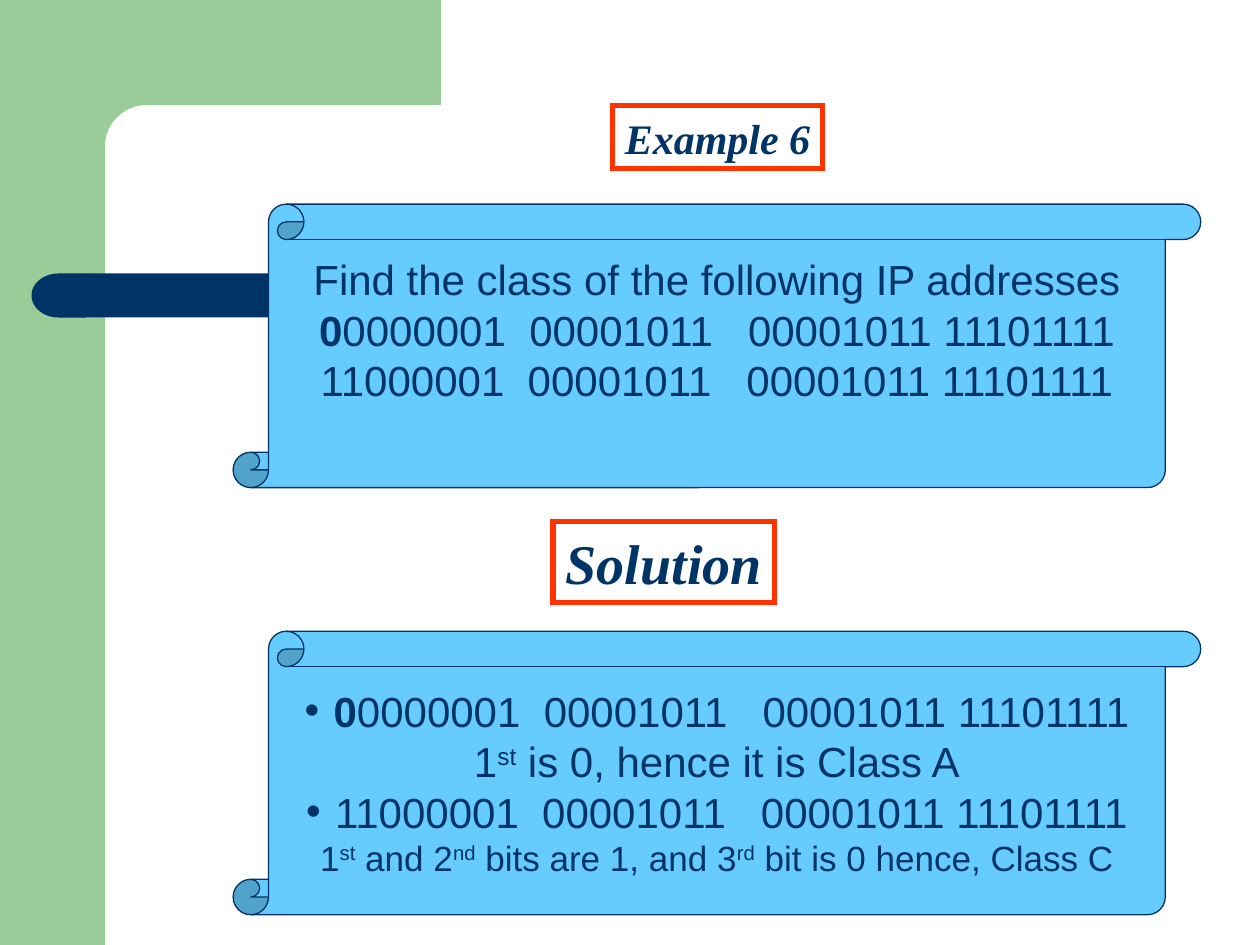
from dataclasses import dataclass
from math import cos, pi, sin

from lxml import etree
from pptx import Presentation
from pptx.dml.color import RGBColor
from pptx.enum.shapes import MSO_SHAPE
from pptx.enum.text import MSO_ANCHOR, PP_ALIGN
from pptx.oxml.ns import qn
from pptx.util import Inches, Pt

RECT, DELAY = MSO_SHAPE.RECTANGLE, MSO_SHAPE.FLOWCHART_DELAY
SCROLL = MSO_SHAPE.VERTICAL_SCROLL
MIDDLE, CENTER = MSO_ANCHOR.MIDDLE, PP_ALIGN.CENTER
WIDE, HIGH = 10, 7.5


@dataclass(frozen=True)
class Theme:
    navy: str = "003366"
    green: str = "99CC99"
    sky: str = "66CCFF"
    red: str = "FF3300"
    white: str = "FFFFFF"
    sans: str = "Arial"
    serif: str = "Times New Roman"
    head: int = 32
    body: int = 24
    small: int = 20
    space: float = 0.278
    indent: float = 0.23


THEME = Theme()


def paint(shape, fill, line=None, width=0):
    shape.fill.solid()
    shape.fill.fore_color.rgb = RGBColor.from_string(fill)
    if line:
        shape.line.color.rgb = RGBColor.from_string(line)
        shape.line.width = Pt(width)
    else:
        shape.line.fill.background()


def add_form(slide, kind, box, fill, line=None, width=0):
    shape = slide.shapes.add_shape(kind, *map(Inches, box))
    shape.shadow.inherit = False
    paint(shape, fill, line, width)
    return shape


def write(para, text, size=THEME.body, font=THEME.sans, bold=False,
          italic=False, base=0, track=0):
    run = para.add_run()
    run.text = text
    face = run.font
    face.size, face.name = Pt(size), font
    face.bold, face.italic = bold, italic
    face.color.rgb = RGBColor.from_string(THEME.navy)
    props = run._r.get_or_add_rPr()
    if base:
        props.set("baseline", str(base * 1000))
    if track:
        props.set("spc", str(round(track * 100)))


def set_bullet(para):
    props = para._p.get_or_add_pPr()
    props.set("marL", str(Inches(THEME.indent)))
    props.set("indent", str(-Inches(THEME.indent)))
    color = etree.SubElement(props, qn("a:buClr"))
    etree.SubElement(color, qn("a:srgbClr")).set("val", THEME.navy)
    etree.SubElement(props, qn("a:buFont")).set("typeface", THEME.sans)
    etree.SubElement(props, qn("a:buChar")).set("char", "•")


def write_bits(para, first, lead=""):
    if lead:
        write(para, lead, bold=True)
    write(para, first)
    gap = THEME.body * THEME.space
    for extra, octet in ((1, "00001011"), (2, "00001011"), (0, "11101111")):
        write(para, " ", track=extra * gap)
        write(para, octet)


def write_rank(para, parts, size=THEME.body):
    for spot, part in enumerate(parts):
        write(para, part, size=size, base=30 if spot % 2 else 0)


def frame_label(shape, box, text, size):
    shape.left, shape.top, shape.width, shape.height = map(Inches, box)
    paint(shape, THEME.white, THEME.red, 3)
    join = etree.SubElement(shape.line._get_or_add_ln(), qn("a:miter"))
    join.set("lim", "800000")
    frame = shape.text_frame
    frame.word_wrap = False
    frame.vertical_anchor = MIDDLE
    frame.margin_left = frame.margin_right = Inches(0.02)
    para = frame.paragraphs[0]
    para.alignment = CENTER
    write(para, text, size=size, font=THEME.serif, bold=True, italic=True)


def add_scroll(slide, box, count, foot=0.05):
    shape = add_form(slide, SCROLL, box, THEME.sky, THEME.navy, 0.75)
    shape.adjustments[0] = 0.125
    frame = shape.text_frame
    frame.word_wrap = True
    frame.vertical_anchor = MIDDLE
    frame.margin_bottom = Inches(foot)
    paras = [frame.paragraphs[0]]
    paras += [frame.add_paragraph() for _ in range(count - 1)]
    for para in paras:
        para.alignment = CENTER
    return paras


def add_corner(slide, box):
    left, top, width, height = box
    band, bar = width / 4.2, height / 9
    radius, steps = 0.33, 16
    add_form(slide, RECT, (left, top, band, height), THEME.green)
    arc = [(left + band + radius * (1 - sin(pi * k / steps / 2)),
            top + bar + radius * (1 - cos(pi * k / steps / 2)))
           for k in range(steps + 1)]
    inner = left + band * 0.6
    points = [(left + width, top), (left + width, top + bar), *arc,
              (inner, arc[-1][1]), (inner, top)]
    build = slide.shapes.build_freeform(Inches(inner), Inches(top), scale=1)
    build.add_line_segments([(Inches(x), Inches(y)) for x, y in points])
    shape = build.convert_to_shape()
    shape.shadow.inherit = False
    paint(shape, THEME.green)


def add_bar(slide, box):
    left, top, width, height = box
    cap = 0.43
    start = cap - 0.01
    add_form(slide, RECT, (left + start, top, width - start, height),
             THEME.navy)
    end = add_form(slide, DELAY, (left, top, cap, height), THEME.navy)
    end.rotation = 180


def add_problem(slide, box):
    ask, first, second = add_scroll(slide, box, 3, foot=0.45)
    write(ask, "Find the class of the following IP addresses")
    write_bits(first, "0000001", lead="0")
    write_bits(second, "11000001")


def add_answer(slide, box):
    first, why, second, proof = add_scroll(slide, box, 4)
    set_bullet(first)
    write_bits(first, "0000001", lead="0")
    write_rank(why, ["1", "st", " is 0, hence it is Class A"])
    set_bullet(second)
    write_bits(second, "11000001")
    write_rank(proof, ["1", "st", " and 2", "nd", " bits are 1, and 3", "rd",
                       " bit is 0 hence, Class C"], size=THEME.small)


def main():
    deck = Presentation()
    deck.slide_width, deck.slide_height = Inches(WIDE), Inches(HIGH)
    slide = deck.slides.add_slide(deck.slide_layouts[5])
    left, width, height = WIDE * 0.185, WIDE * 0.768, HIGH * 0.3
    add_corner(slide, (0, 0, WIDE * 0.35, HIGH))
    add_bar(slide, (0.25, 2.17, 8.09, 0.35))
    frame_label(slide.shapes.title, (4.86, 0.84, 1.67, 0.5),
                "Example 6", THEME.body)
    add_problem(slide, (left, 1.62, width, height))
    box = (4.39, 4.14, 1.76, 0.64)
    label = add_form(slide, RECT, box, THEME.white)
    frame_label(label, box, "Solution", THEME.head)
    add_answer(slide, (left, 5.01, width, height))
    deck.save("out.pptx")


if __name__ == "__main__":
    main()
